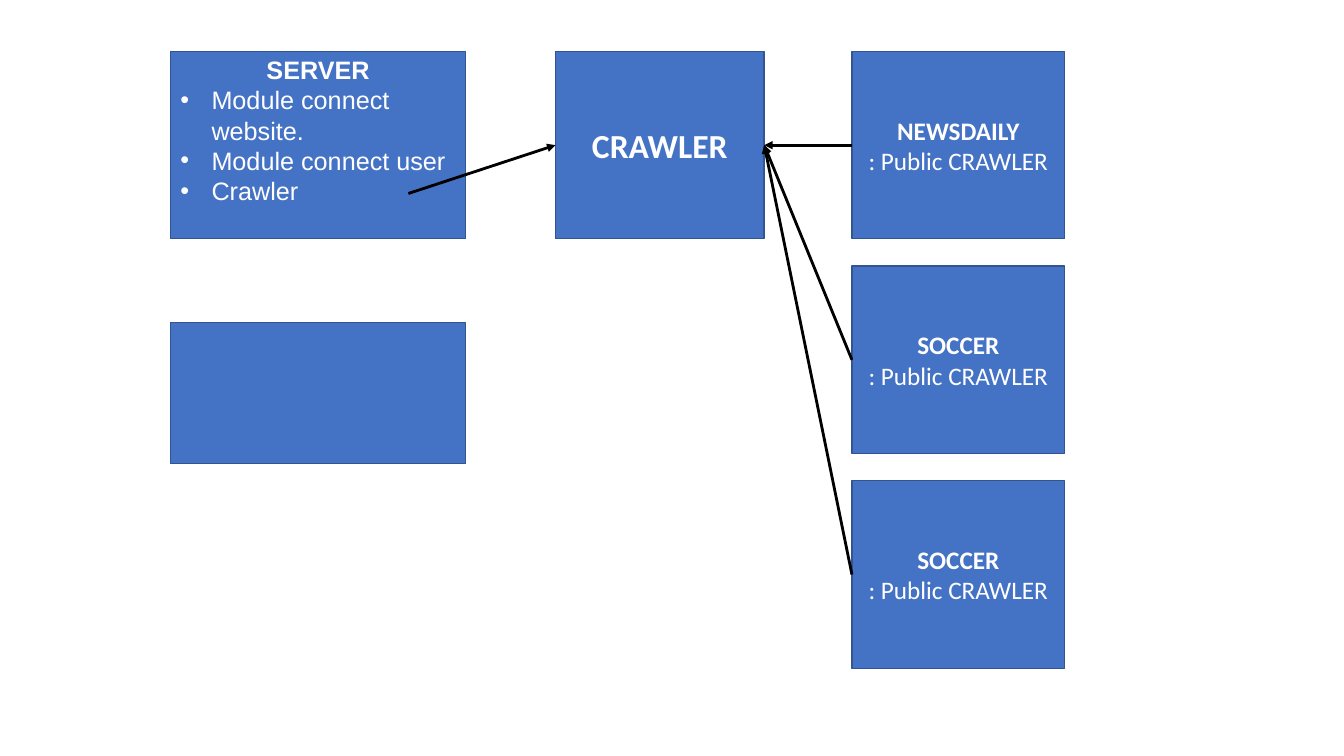
import pptx
import pptx.util
import pptx.dml.color
import pptx.enum.shapes
import pptx.enum.text
import pptx.oxml.ns
import lxml.etree

Inches = pptx.util.Inches
Align = pptx.enum.text.PP_ALIGN


def color(value):
    return pptx.dml.color.RGBColor.from_string(value)


def add_element(parent, tag, **attributes):
    return lxml.etree.SubElement(parent, pptx.oxml.ns.qn(tag), attributes)


class Diagram:
    fill = "4472C4"
    outline = "325491"
    ink = "FFFFFF"
    arrow_ink = "000000"

    def __init__(self, slide):
        self.slide = slide

    def box(self, left, top, width, height):
        box = self.slide.shapes.add_shape(
            pptx.enum.shapes.MSO_SHAPE.RECTANGLE,
            Inches(left), Inches(top), Inches(width), Inches(height))
        box.shadow.inherit = False
        box.fill.solid()
        box.fill.fore_color.rgb = color(self.fill)
        box.line.color.rgb = color(self.outline)
        box.line.width = pptx.util.Pt(1)
        frame = box.text_frame
        frame.word_wrap = True
        frame.vertical_anchor = pptx.enum.text.MSO_ANCHOR.MIDDLE
        return box

    def label(self, box, lines, font="Calibri", size=18, bulleted=False):
        frame = box.text_frame
        for index, line in enumerate(lines):
            para = frame.add_paragraph() if index else frame.paragraphs[0]
            heading = index == 0
            para.alignment = Align.CENTER
            if bulleted and not heading:
                self.bullet(para)
            span = para.add_run()
            span.text = line
            formats = {"name": font, "size": pptx.util.Pt(size), "bold": heading}
            for name, value in formats.items():
                setattr(span.font, name, value)
            span.font.color.rgb = color(self.ink)

    def bullet(self, para):
        para.alignment = Align.LEFT
        properties = para._p.get_or_add_pPr()
        indent = Inches(0.31)
        properties.set("marL", str(indent))
        properties.set("indent", str(-indent))
        add_element(properties, "a:buFont", typeface="Arial")
        add_element(properties, "a:buChar", char="•")

    def arrow(self, start, end):
        arrow = self.slide.shapes.add_connector(
            pptx.enum.shapes.MSO_CONNECTOR.STRAIGHT,
            *(Inches(length) for length in (*start, *end)))
        arrow.line.color.rgb = color(self.arrow_ink)
        arrow.line.width = pptx.util.Pt(2)
        add_element(arrow.line._get_or_add_ln(), "a:tailEnd", type="triangle")
        add_element(arrow._element.spPr, "a:effectLst")


def main():
    deck = pptx.Presentation()
    deck.slide_width = Inches(13.33)
    deck.slide_height = Inches(7.5)
    page = deck.slides.add_slide(deck.slide_layouts[6])
    diagram = Diagram(page)

    top, height, pitch = 0.51, 1.86, 2.13
    middle = top + height / 2
    server_left, server_width = 1.69, 2.93
    crawler_left, crawler_width = 5.51, 2.07
    site_left, site_width = 8.45, 2.11

    server = diagram.box(server_left, top, server_width, height)
    server.text_frame.margin_bottom = Inches(0.35)
    diagram.label(
        server,
        ["SERVER", "Module connect website.", "Module connect user", "Crawler"],
        font="Arial", bulleted=True)

    crawler = diagram.box(crawler_left, top, crawler_width, height)
    diagram.label(crawler, ["CRAWLER"], size=24)
    diagram.arrow((4.05, 1.92), (crawler_left, middle))

    for row, name in enumerate(["NEWSDAILY", "SOCCER", "SOCCER"]):
        offset = row * pitch
        site = diagram.box(site_left, top + offset, site_width, height)
        diagram.label(site, [name, ": Public CRAWLER"])
        diagram.arrow((site_left, middle + offset),
                      (crawler_left + crawler_width, middle))

    diagram.box(server_left, 3.2, server_width, 1.4)
    deck.save("out.pptx")


if __name__ == "__main__":
    main()
